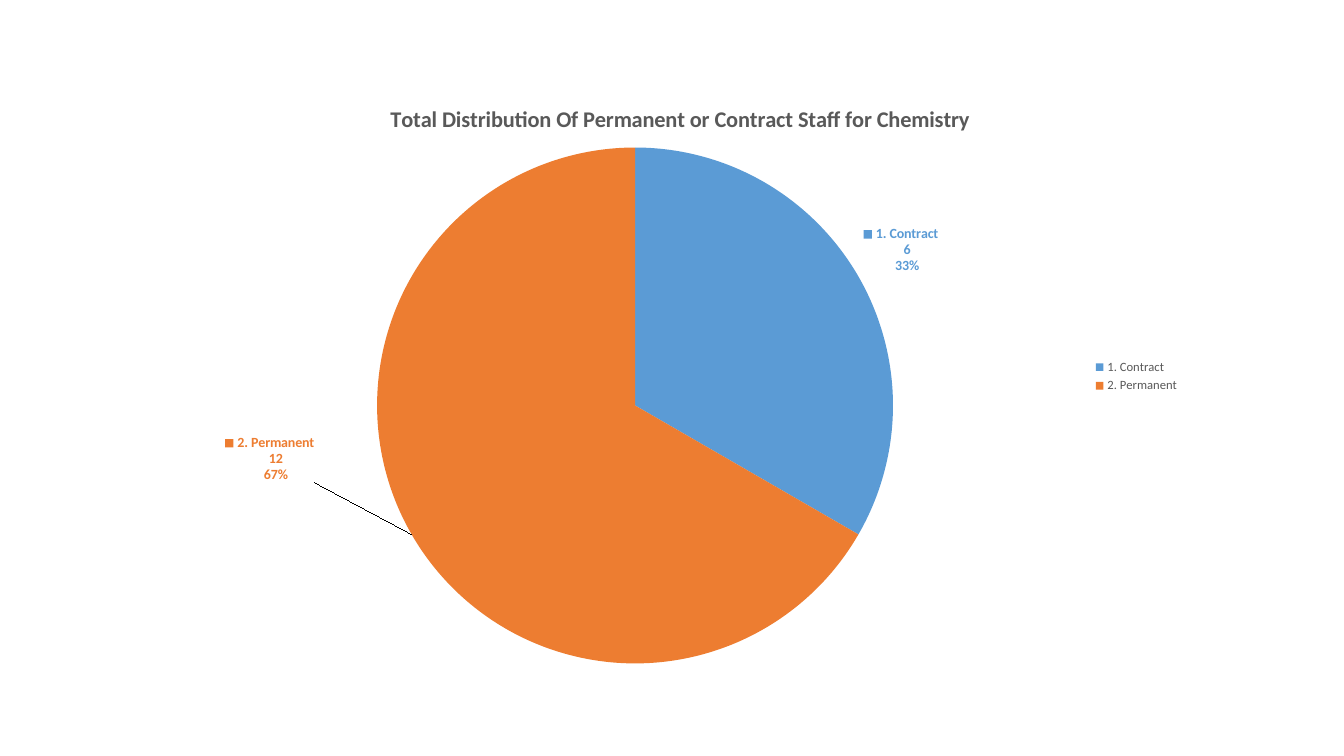
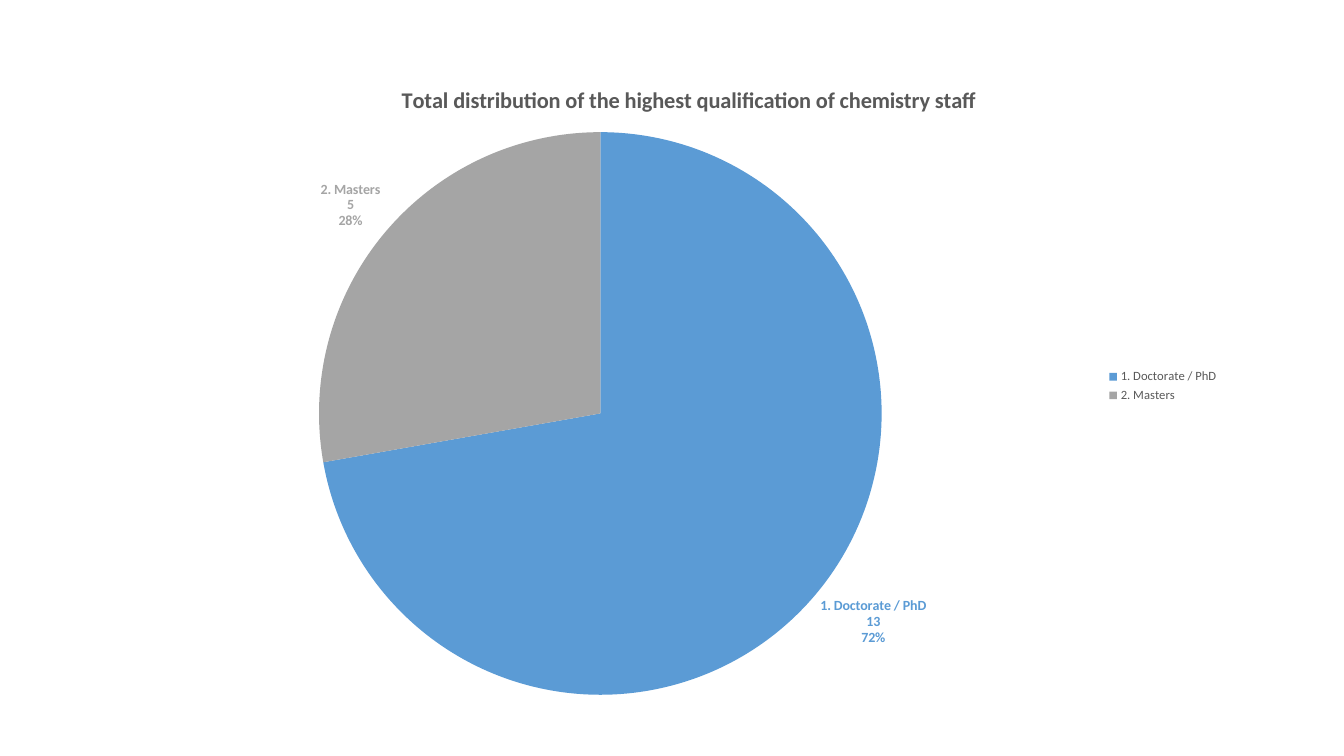
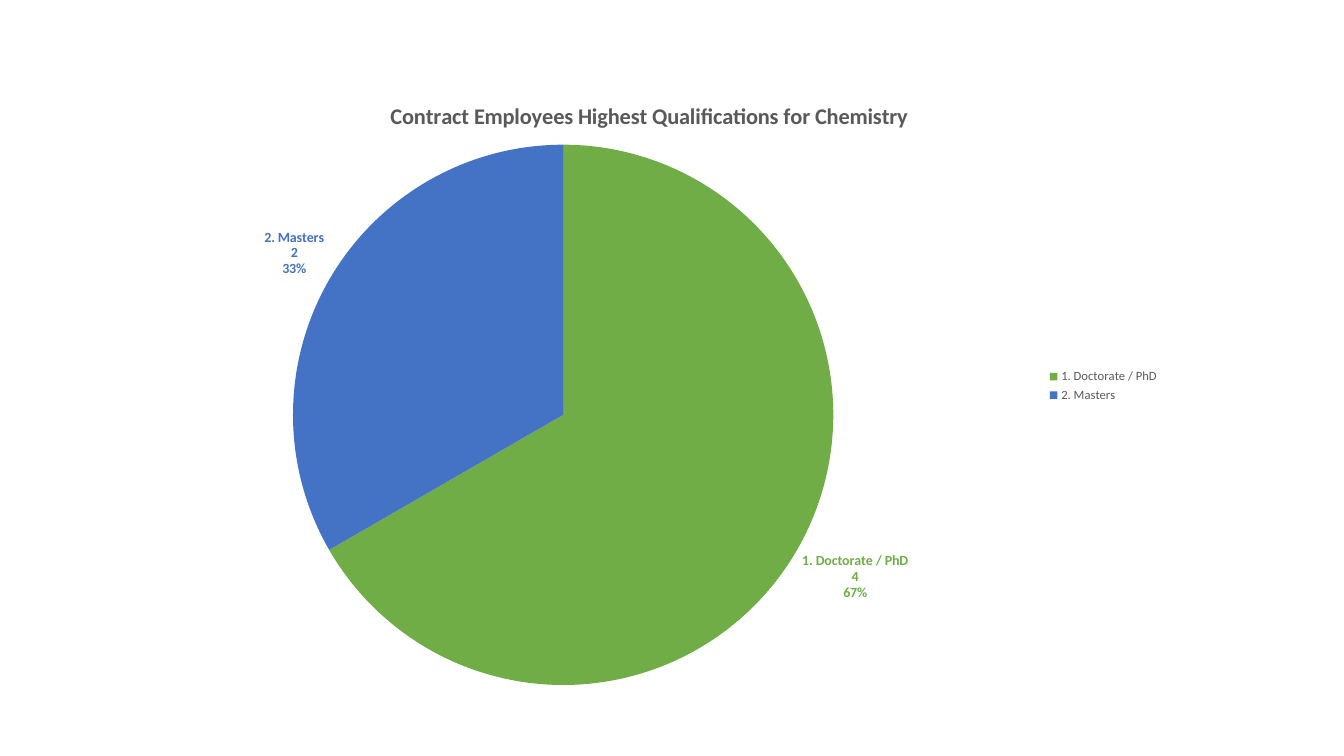
from dataclasses import dataclass

from lxml import etree
from pptx import Presentation
from pptx.chart.data import CategoryChartData
from pptx.dml.color import RGBColor
from pptx.enum import chart as ch
from pptx.oxml.ns import qn
from pptx.util import Pt


@dataclass(frozen=True)
class Theme:
    font: str = "Calibri"
    text: str = "595959"
    blue: str = "5B9BD5"
    orange: str = "ED7D31"
    gray: str = "A5A5A5"
    green: str = "70AD47"
    indigo: str = "4472C4"
    title_size: int = 16
    label_size: int = 10
    legend_size: int = 9


T = Theme()


def set_font(font, size, color, bold=False):
    for name, value in dict(name=T.font, size=Pt(size), bold=bold).items():
        setattr(font, name, value)
    font.color.rgb = RGBColor.from_string(color)


def set_layout(parent, index, **values):
    """Give a chart part a manual layout, as child number index of parent."""
    for old in parent.findall(qn("c:layout")):
        parent.remove(old)
    layout = etree.Element(qn("c:layout"))
    manual = etree.SubElement(layout, qn("c:manualLayout"))
    for name, value in values.items():
        etree.SubElement(manual, qn(f"c:{name}")).set("val", str(value))
    parent.insert(index, layout)


# frame: left, top, width, height; pie: left, top, diameter; title: left, top
# slices: category, value, colour, label shift as a share of the frame
slides = [
    dict(title="Total Distribution Of Permanent or Contract Staff for Chemistry",
         frame=(117.4, 54, 732.2, 429.8), pie=(269.3, 105.4, 368.6),
         title_at=(276, 71), legend_key=True,
         slices=[("1. Contract", 6, T.blue, None),
                 ("2. Permanent", 12, T.orange, (-0.09, -0.17)),
                 ("(blank)", 0, T.gray, None)]),
    dict(title="Total distribution of the highest qualification of chemistry staff",
         frame=(101.5, 41.8, 776.2, 468), pie=(227.9, 94.4, 401.9),
         title_at=(284, 58), legend_key=False,
         slices=[("1. Doctorate / PhD", 13, T.blue, None),
                 ("2. Masters", 5, T.gray, None)]),
    dict(title="Contract Employees Highest Qualifications for Chemistry",
         frame=(91.4, 51.8, 743.8, 447.8), pie=(209.3, 103.4, 386),
         title_at=(276, 69.5), legend_key=False,
         slices=[("1. Doctorate / PhD", 4, T.green, None),
                 ("2. Masters", 2, T.indigo, None)]),
]

prs = Presentation()
prs.slide_width, prs.slide_height = Pt(960), Pt(540)

for spec_ in slides:
    s = prs.slides.add_slide(prs.slide_layouts[6])
    left, top, width, height = spec_["frame"]
    data = CategoryChartData()
    data.categories = [row[0] for row in spec_["slices"]]
    data.add_series("Series 1", [row[1] for row in spec_["slices"]])
    chart = s.shapes.add_chart(ch.XL_CHART_TYPE.PIE, Pt(left), Pt(top),
                               Pt(width), Pt(height), data).chart
    set_font(chart.font, T.label_size, "000000")

    # Title
    chart.has_title = True
    tf = chart.chart_title.text_frame
    r = tf.paragraphs[0].add_run()
    r.text = spec_["title"]
    set_font(r.font, T.title_size, T.text, bold=True)
    x, y = spec_["title_at"]
    set_layout(chart.chart_title._element, 1, xMode="edge", yMode="edge",
               x=round((x - left) / width, 4), y=round((y - top) / height, 4))

    # Legend
    chart.has_legend = True
    legend = chart.legend
    legend.position = ch.XL_LEGEND_POSITION.RIGHT
    legend.include_in_layout = False
    set_font(legend.font, T.legend_size, T.text)

    # Pie
    x, y, diameter = spec_["pie"]
    set_layout(chart._chartSpace.chart.plotArea, 0, layoutTarget="inner",
               xMode="edge", yMode="edge",
               x=round((x - left) / width, 4), y=round((y - top) / height, 4),
               w=round(diameter / width, 4), h=round(diameter / height, 4))
    plot = chart.plots[0]
    plot.vary_by_categories = True
    series = plot.series[0]
    labels = series.data_labels
    for name, value in dict(show_value=True, show_percentage=True,
                            show_category_name=True,
                            show_legend_key=spec_["legend_key"],
                            position=ch.XL_LABEL_POSITION.OUTSIDE_END).items():
        setattr(labels, name, value)
    set_font(labels.font, T.label_size, spec_["slices"][0][2], bold=True)

    # Slices and their labels
    for i, (_, value, color, shift) in enumerate(spec_["slices"]):
        point = series.points[i]
        point.format.fill.solid()
        point.format.fill.fore_color.rgb = RGBColor.from_string(color)
        point.format.line.fill.background()
        label = point.data_label
        set_font(label.font, T.label_size, color, bold=True)
        label.position = ch.XL_LABEL_POSITION.OUTSIDE_END
        d_lbl = labels._element.findall(qn("c:dLbl"))[i]
        shown = value > 0
        for tag, on in dict(showLegendKey=shown and spec_["legend_key"],
                            showVal=shown, showCatName=shown, showSerName=False,
                            showPercent=shown).items():
            d_lbl.find(qn(f"c:{tag}")).set("val", str(int(on)))
        etree.SubElement(d_lbl, qn("c:separator")).text = "\n"
        if shift:
            set_layout(d_lbl, 1, x=shift[0], y=shift[1])
        if not shown:
            entry = etree.Element(qn("c:legendEntry"))
            etree.SubElement(entry, qn("c:idx")).set("val", str(i))
            etree.SubElement(entry, qn("c:delete")).set("val", "1")
            legend._element.insert(1, entry)

prs.save("out.pptx")
